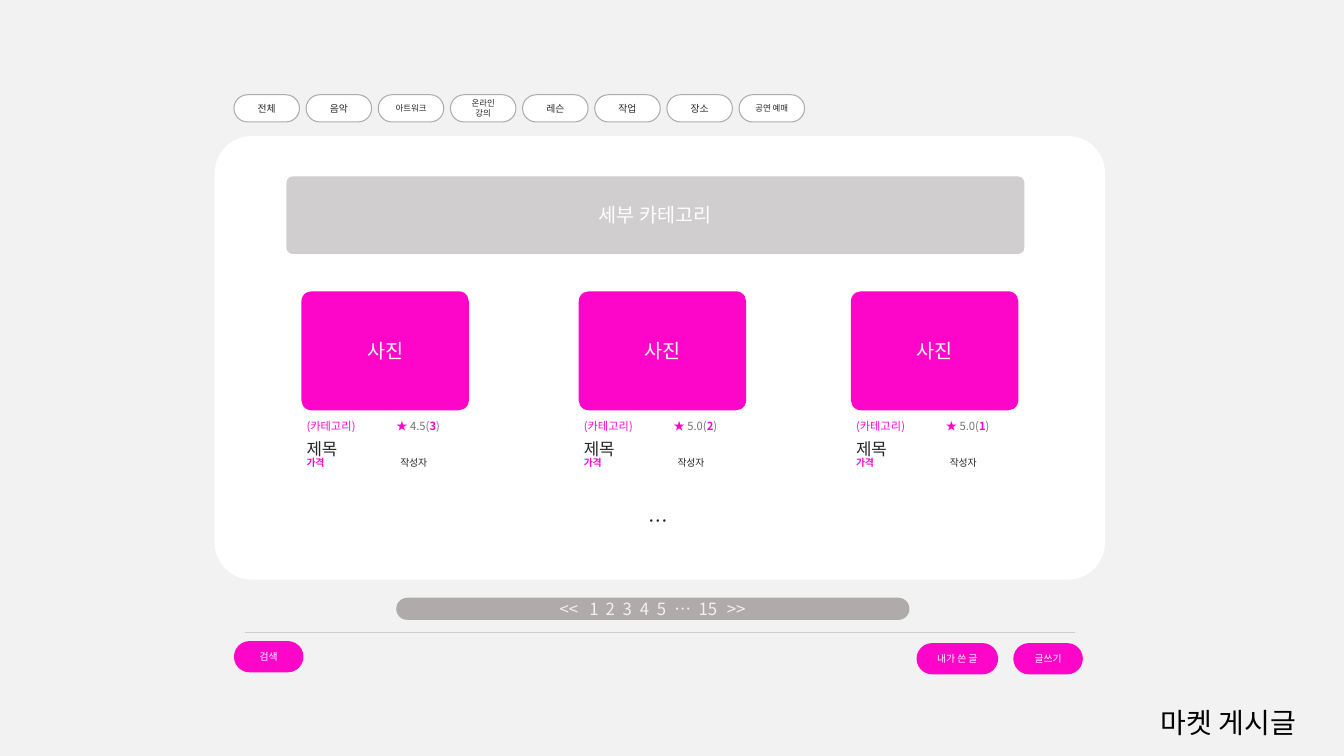
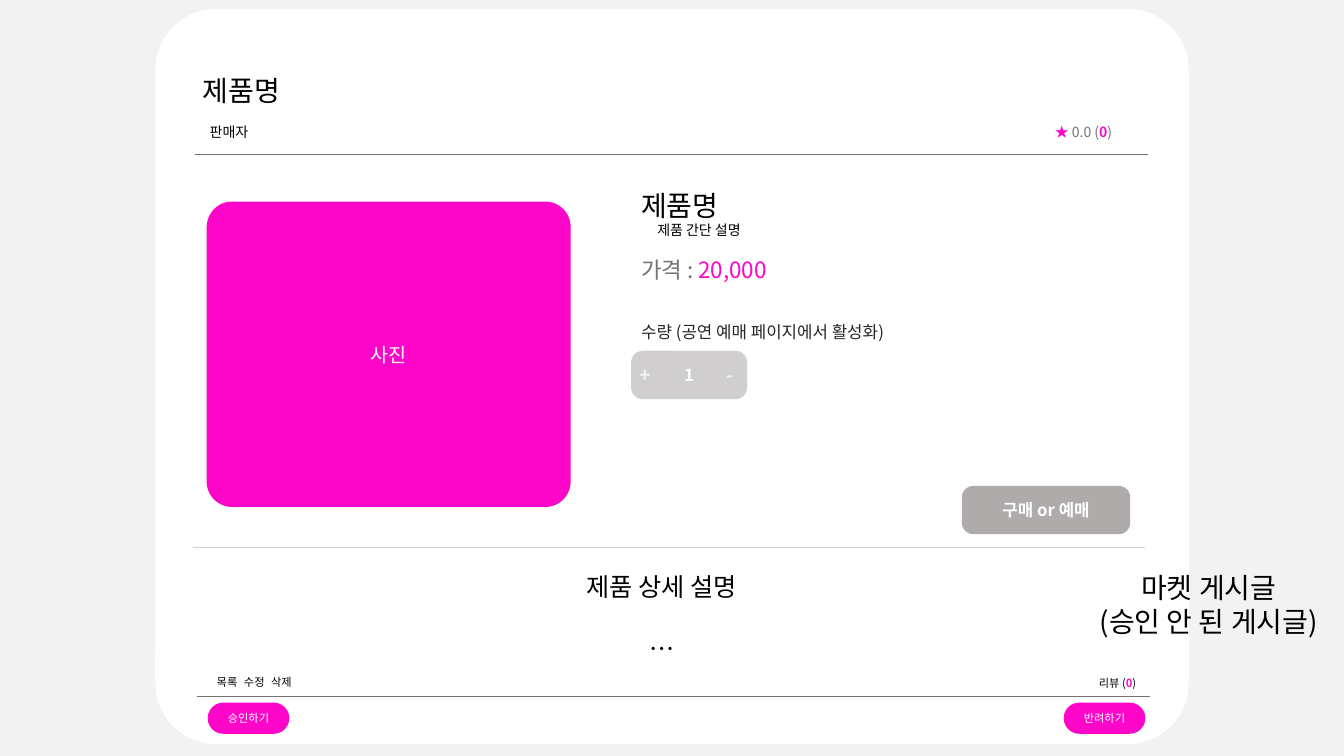
from lxml import etree
from pptx import Presentation
from pptx.dml.color import RGBColor
from pptx.enum.shapes import MSO_CONNECTOR, MSO_SHAPE
from pptx.enum.text import MSO_ANCHOR, MSO_AUTO_SIZE, PP_ALIGN
from pptx.oxml.ns import qn
from pptx.util import Inches, Pt

ROUND = MSO_SHAPE.ROUNDED_RECTANGLE
STRAIGHT = MSO_CONNECTOR.STRAIGHT
TOP, MIDDLE = MSO_ANCHOR.TOP, MSO_ANCHOR.MIDDLE
LEFT, CENTER, RIGHT = PP_ALIGN.LEFT, PP_ALIGN.CENTER, PP_ALIGN.RIGHT
FONT = "Noto Sans CJK KR"
PAGE, WHITE, BLACK, INK = "F2F2F2", "FFFFFF", "000000", "262626"
PINK, PALE, GRAY, DARK = "FE06C9", "D0CECE", "AFABAB", "767171"
CARD_ADJ, BUTTON_ADJ, PILL_ADJ = 0.083, 0.24, 0.5


def rgb(color):
    """Return the colour of a hex string."""
    return RGBColor.from_string(color)


def add_run(p, text, size, color, bold=False):
    """Add one formatted run to a paragraph."""
    r = p.add_run()
    r.text = text
    r.font.size = Pt(size)
    r.font.bold = bold
    r.font.color.rgb = rgb(color)
    r.font.name = FONT
    etree.SubElement(r.font._element, qn("a:ea"), typeface=FONT)


def add_tabs(p, stops, align="l"):
    """Give a paragraph its tab stops in inches."""
    tabs = etree.SubElement(p._p.get_or_add_pPr(), qn("a:tabLst"))
    for stop in stops:
        etree.SubElement(tabs, qn("a:tab"), pos=str(Inches(stop)), algn=align)


def setup_frame(tf, anchor=MIDDLE, wrap=True):
    """Remove the margins of a text frame and anchor it."""
    tf.auto_size = MSO_AUTO_SIZE.NONE
    tf.word_wrap = wrap
    tf.vertical_anchor = anchor
    tf.margin_left = tf.margin_right = tf.margin_top = tf.margin_bottom = 0


def add_row(tf, runs, align=LEFT, leading=None, before=0, indent=0, tabs=(), tab_align="l"):
    """Add a paragraph of runs, using the first one while it is empty."""
    p = tf.paragraphs[0]
    if p.runs:
        p = tf.add_paragraph()
    p.alignment = align
    if leading:
        p.line_spacing = Pt(leading)
    if before:
        p.space_before = Pt(before)
    if indent:
        p._p.get_or_add_pPr().set("marL", str(Inches(indent)))
    if tabs:
        add_tabs(p, tabs, tab_align)
    for run in runs:
        add_run(p, *run)


def add_lines(tf, text, size, color, bold=False):
    """Add centred text with one paragraph for each line."""
    lines = text.split("\n")
    for line in lines:
        leading = 1.22 * size if len(lines) > 1 else None
        add_row(tf, [(line, size, color, bold)], CENTER, leading)


def text_box(s, x, y, w, h, anchor=MIDDLE, wrap=True):
    """Add an empty text box and return its frame."""
    tf = s.shapes.add_textbox(Inches(x), Inches(y), Inches(w), Inches(h)).text_frame
    setup_frame(tf, anchor, wrap)
    return tf


def label(s, x, mid, w, runs, align=LEFT, tabs=()):
    """Write one line whose middle height is given."""
    add_row(text_box(s, x, mid - 0.2, w, 0.4), runs, align, tabs=tabs)


def panel(s, x, y, w, h, fill, adj=CARD_ADJ, text="", size=14, color=WHITE, bold=False, line=None):
    """Draw a rounded rectangle with optional centred text."""
    sp = s.shapes.add_shape(ROUND, Inches(x), Inches(y), Inches(w), Inches(h))
    sp.shadow.inherit = False
    sp.adjustments[0] = adj
    sp.fill.solid()
    sp.fill.fore_color.rgb = rgb(fill)
    if line:
        sp.line.color.rgb = rgb(line)
        sp.line.width = Pt(0.75)
    else:
        sp.line.fill.background()
    setup_frame(sp.text_frame)
    if text:
        add_lines(sp.text_frame, text, size, color, bold)
    return sp


def rule(s, x, y, w, color):
    """Draw a thin horizontal line."""
    ln = s.shapes.add_connector(STRAIGHT, Inches(x), Inches(y), Inches(x + w), Inches(y))
    ln.line.color.rgb = rgb(color)
    ln.line.width = Pt(0.5)
    etree.SubElement(ln._element.spPr, qn("a:effectLst"))


def title(s, x, y, w, h, text):
    """Place the slide title in front of the other shapes."""
    sp = s.shapes.title
    sp.left, sp.top, sp.width, sp.height = Inches(x), Inches(y), Inches(w), Inches(h)
    setup_frame(sp.text_frame)
    add_lines(sp.text_frame, text, 20, BLACK)
    sp.element.getparent().append(sp.element)


def category_bar(s, x, y, w):
    """Spread the category chips evenly over a width."""
    chips = [("전체", 7), ("음악", 7), ("아트워크", 6), ("온라인\n강의", 6),
             ("레슨", 7), ("작업", 7), ("장소", 7), ("공연 예매", 6)]
    chip_w = 0.65
    pitch = (w - chip_w) / (len(chips) - 1)
    for i, (name, size) in enumerate(chips):
        panel(s, x + i * pitch, y, chip_w, 0.27, WHITE, PILL_ADJ, name, size, INK, line=GRAY)


def product_card(s, x, y, score, reviews):
    """Draw a product photo with its caption below."""
    panel(s, x, y, 1.66, 1.18, PINK, text="사진")
    tf = text_box(s, x + 0.05, y + 1.24, 1.65, 0.53, TOP)
    add_row(tf, [("(카테고리)\t★ ", 8, PINK), (score + "(", 8, DARK),
                 (reviews, 8, PINK, True), (")", 8, DARK)], leading=11.6, tabs=[0.89])
    add_row(tf, [("제목", 12, INK)], leading=18.5)
    add_row(tf, [("가격\t", 7, PINK, True), ("작성자", 7, INK)], leading=7.5, tabs=[0.93])


def pager(s, x, y, w, h):
    """Draw the page number bar."""
    pages = ["<<", "1", "2", "3", "4", "5", "…", "15", ">>"]
    stops = [1.68, 1.93, 2.09, 2.26, 2.43, 2.6, 2.81, 3.06, 3.34]
    sp = panel(s, x, y, w, h, GRAY, PILL_ADJ)
    add_row(sp.text_frame, [("\t" + "\t".join(pages), 12, PAGE)], tabs=stops, tab_align="ctr")


def list_board(s, x, y, w, h):
    """Draw the board of product cards."""
    panel(s, x, y, w, h, WHITE)
    panel(s, x + 0.71, y + 0.4, 7.32, 0.77, PALE, text="세부 카테고리")
    for dx, score, reviews in [(0.86, "4.5", "3"), (3.61, "5.0", "2"), (6.31, "5.0", "1")]:
        product_card(s, x + dx, y + 1.54, score, reviews)
    label(s, x, y + 3.82, w - 0.03, [("…", 14, INK)], CENTER)


def list_footer(s, x, y, w):
    """Draw the line and buttons under the list."""
    rule(s, x + 0.11, y, w - 0.19, PALE)
    for dx, dy, bw, text in [(0, 0.09, 0.69, "검색"), (6.77, 0.11, 0.81, "내가 쓴 글"),
                             (7.73, 0.11, 0.69, "글쓰기")]:
        panel(s, x + dx, y + dy, bw, 0.31, PINK, PILL_ADJ, text, 7)


def product_header(s, x, y, w):
    """Draw product name, seller and rating above a line."""
    label(s, x + 0.08, y, 3, [("제품명", 20, BLACK)])
    label(s, x + 0.15, y + 0.41, 3, [("판매자", 10, BLACK)])
    label(s, x + w - 2.36, y + 0.41, 2, [("★ ", 10, PINK), ("0.0 (", 10, DARK),
                                         ("0", 10, PINK, True), (")", 10, DARK)], RIGHT)
    rule(s, x, y + 0.63, w, DARK)


def counter(s, x, y, w, h):
    """Draw the quantity control."""
    panel(s, x, y, w, h, PALE, BUTTON_ADJ, "1", 12, WHITE, True)
    for mid, sign in [(0.14, "+"), (0.98, "-")]:
        label(s, x + mid - 0.15, y + h / 2, 0.3, [(sign, 14, PAGE, True)], CENTER)


def product_info(s, x, y, w):
    """Write the product summary, quantity and purchase button."""
    tf = text_box(s, x + 0.1, y, w, 1.6, TOP)
    add_row(tf, [("제품명", 20, BLACK)], leading=25)
    add_row(tf, [("제품 간단 설명", 10, BLACK)], leading=11.3, indent=0.16)
    add_row(tf, [("가격 : ", 16, DARK), ("20,000", 16, PINK)], leading=20, before=12)
    add_row(tf, [("수량 (공연 예매 페이지에서 활성화)", 12, INK)], leading=15, before=27)
    counter(s, x, y + 1.62, 1.15, 0.48)
    panel(s, x + 3.28, y + 2.96, 1.67, 0.48, GRAY, BUTTON_ADJ, "구매 or 예매", 12, WHITE, True)


def product_detail(s, x, y, w):
    """Write the detail heading under a line."""
    rule(s, x, y, w, PALE)
    for dy, text in [(0.39, "제품 상세 설명"), (1, "…")]:
        label(s, x, y + dy, w - 0.14, [(text, 18, BLACK)], CENTER)


def product_footer(s, x, y, w):
    """Draw the action links, the review count and the buttons."""
    rule(s, x, y, w, DARK)
    label(s, x + 0.2, y - 0.14, 1.2, [("목록\t수정\t삭제", 8, BLACK)], tabs=[0.27, 0.54])
    label(s, x + w - 1.14, y - 0.13, 1, [("리뷰 (", 8, BLACK), ("0", 8, PINK, True),
                                         (")", 8, BLACK)], RIGHT)
    for dx, text in [(0.11, "승인하기"), (w - 0.86, "반려하기")]:
        panel(s, x + dx, y + 0.06, 0.81, 0.31, PINK, PILL_ADJ, text, 8)


def list_slide(prs):
    """Build the market list slide."""
    s = prs.slides.add_slide(prs.slide_layouts[5])
    category_bar(s, 2.32, 0.94, 5.66)
    list_board(s, 2.13, 1.35, 8.83, 4.4)
    pager(s, 3.93, 5.93, 5.09, 0.22)
    list_footer(s, 2.32, 6.27, 8.42)
    title(s, 10.73, 6.95, 2.91, 0.44, "마켓 게시글")


def product_slide(prs):
    """Build the slide of a post awaiting approval."""
    s = prs.slides.add_slide(prs.slide_layouts[5])
    panel(s, 1.54, 0.09, 10.25, 7.29, WHITE)
    product_header(s, 1.93, 0.9, 9.46)
    panel(s, 2.05, 2, 3.61, 3.03, PINK, text="사진")
    product_info(s, 6.26, 1.86, 4.4)
    product_detail(s, 1.91, 5.43, 9.45)
    product_footer(s, 1.95, 6.91, 9.46)
    title(s, 10.23, 5.61, 3.52, 0.77, "마켓 게시글\n(승인 안 된 게시글)")


def main():
    """Build and save the presentation."""
    prs = Presentation()
    prs.slide_width, prs.slide_height = Inches(13.33), Inches(7.5)
    fill = prs.slide_master.background.fill
    fill.solid()
    fill.fore_color.rgb = rgb(PAGE)
    list_slide(prs)
    product_slide(prs)
    prs.save("out.pptx")


if __name__ == "__main__":
    main()
